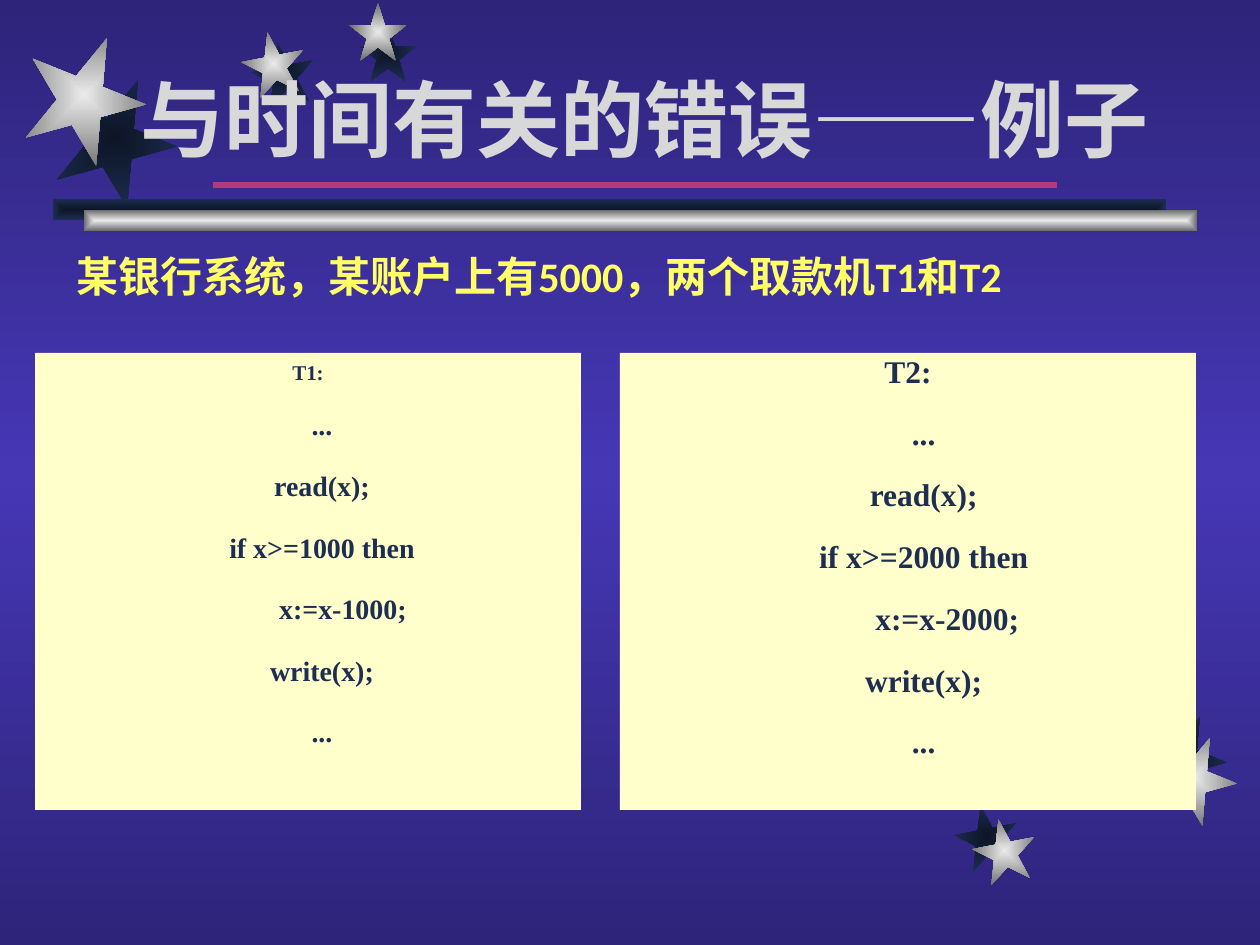
from lxml.etree import SubElement as Sub
from pptx import Presentation
from pptx.dml.color import RGBColor
from pptx.enum.shapes import MSO_CONNECTOR as Conn, MSO_SHAPE as Kind
from pptx.enum.text import MSO_ANCHOR as Anchor, MSO_AUTO_SIZE as Auto, PP_ALIGN as Align
from pptx.oxml.ns import qn
from pptx.util import Emu, Pt

SCALE = 914400 / 126  # EMU in one px

DARK = [(0, "0D1526"), (100, "1E2E53")]
SILVER = [(0, "EAEAEA"), (100, "6B6B6B")]
NIGHT = [(0, "2E247A"), (50, "4637B5"), (100, "2E247A")]
INK, CREAM, GREY, YELLOW, PINK = "1E2E53", "FFFFCC", "D8D8D8", "FFFF66", "B23A7D"


def px(n):
    return Emu(round(n * SCALE))


def rgb(code):
    return RGBColor.from_string(code)


def shade(fill, root, stops, angle=None):
    """Give a fill its stops: linear with an angle, else from the centre."""
    fill.gradient()
    grad = root.find(".//" + qn("a:gradFill"))
    for part in list(grad):
        grad.remove(part)
    row = Sub(grad, qn("a:gsLst"))
    for pos, code in stops:
        stop = Sub(row, qn("a:gs"), pos=str(pos * 1000))
        Sub(stop, qn("a:srgbClr"), val=code)
    if angle is not None:
        Sub(grad, qn("a:lin"), ang=str(angle * 60000), scaled="0")
    else:
        way = Sub(grad, qn("a:path"), path="rect")
        Sub(way, qn("a:fillToRect"), **dict.fromkeys("ltrb", "50000"))


class Page:
    def __init__(self, deck):
        self.slide = deck.slides.add_slide(deck.slide_layouts[5])
        self.shapes = self.slide.shapes
        shade(self.slide.background.fill, self.slide.element, NIGHT, 90)

    def shape(self, kind, x, y, w, h):
        item = self.shapes.add_shape(kind, px(x), px(y), px(w), px(h))
        item.shadow.inherit = False
        item.line.fill.background()
        return item

    def star(self, x, y, size, turn, stops):
        item = self.shape(Kind.STAR_5_POINT, x, y, size, size)
        item.rotation = turn
        shade(item.fill, item.element, stops)

    def bar(self, x, y, stops):
        item = self.shape(Kind.RECTANGLE, x, y, 1113, 21)
        shade(item.fill, item.element, stops)

    def rule(self, x, y, end, code):
        item = self.shapes.add_connector(Conn.STRAIGHT, px(x), px(y), px(end), px(y))
        item.line.color.rgb = rgb(code)
        item.line.width = Pt(3)
        Sub(item.element.spPr, qn("a:effectLst"))

    def style(self, para, font, size, code, align):
        para.alignment = align
        for run in para.runs:
            run.font.name, run.font.size, run.font.bold = font, Pt(size), True
            run.font.color.rgb = rgb(code)

    def panel(self, x, w, lines, head, size, space):
        item = self.shape(Kind.RECTANGLE, x, 353, w, 457)
        item.fill.solid()
        item.fill.fore_color.rgb = rgb(CREAM)
        frame = item.text_frame
        frame.word_wrap, frame.vertical_anchor = True, Anchor.TOP
        frame.text = "\n".join(lines)
        for i, para in enumerate(frame.paragraphs):
            pts = size if i else head
            self.style(para, "Times New Roman", pts, INK, Align.CENTER)
            para.line_spacing = space
            para.space_before = Pt(pts / 4 if i else 0)
            para.space_after = Pt(pts * 3 / 4)

    def title(self, x, y, w, h, text):
        item = self.shapes.title
        self.shapes._spTree.append(item.element)  # bring to front
        item.left, item.top, item.width, item.height = px(x), px(y), px(w), px(h)
        frame = item.text_frame
        frame.text = text
        frame.word_wrap, frame.auto_size = True, Auto.NONE
        frame.vertical_anchor = Anchor.BOTTOM
        self.style(frame.paragraphs[0], "Arial", 48, GREY, Align.CENTER)

    def note(self, x, y, w, h, text):
        frame = self.shapes.add_textbox(px(x), px(y), px(w), px(h)).text_frame
        frame.text = text
        frame.word_wrap = True
        self.style(frame.paragraphs[0], "Calibri", 24, YELLOW, Align.LEFT)


def code(name, sum_):
    return [f"{name}:", "    ...", "    read(x);", f"    if x>={sum_} then",
            f"          x:=x-{sum_};", "    write(x);", "    ..."]


def main():
    deck = Presentation()
    deck.slide_width, deck.slide_height = px(1260), px(945)
    page = Page(deck)

    # Stars: shadow place, bright place, size, turn
    stars = [
        ((54, 76), (23, 34), 122, 22),
        ((252, 42), (242, 32), 63, 349),
        ((359, 24), (349, 3), 58, 0),
        ((955, 805), (973, 819), 63, 349),
        ((1142, 714), (1152, 735), 84, 22),
    ]
    for low, _, size, turn in stars:
        page.star(*low, size, turn, DARK)
    for _, top, size, turn in stars:
        page.star(*top, size, turn, SILVER)

    # Bars and rule under the title
    page.bar(53, 199, DARK)
    page.bar(84, 210, SILVER)
    page.rule(213, 185, 1057, PINK)

    # Code panels
    page.panel(620, 576, code("T2", 2000), 18, 18, 0.8)
    page.panel(35, 546, code("T1", 1000), 12, 16, 1.0)

    # Title and lead text
    page.title(63, 44, 1163, 131, "与时间有关的错误——例子")
    page.note(64, 244, 1037, 63, "某银行系统，某账户上有5000，两个取款机T1和T2")

    deck.save("out.pptx")


if __name__ == "__main__":
    main()
